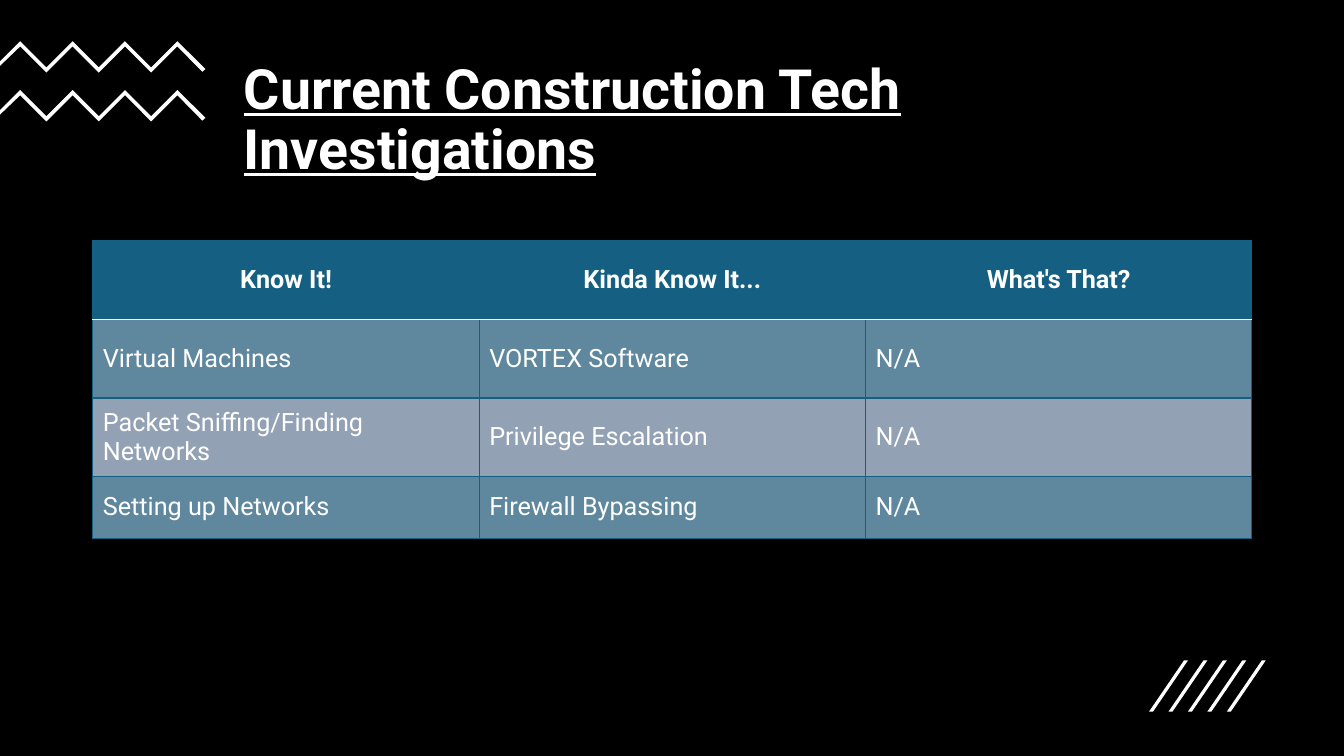
from pptx import Presentation
from pptx.dml.color import RGBColor
from pptx.enum.shapes import MSO_SHAPE as SHAPE
from pptx.enum.text import MSO_ANCHOR as ANCHOR, MSO_AUTO_SIZE as AUTO_SIZE, PP_ALIGN as ALIGN
from pptx.oxml.ns import qn
from pptx.util import Cm, Pt
from lxml.etree import SubElement

FONT = "Roboto"
BLACK = RGBColor(0x00, 0x00, 0x00)
WHITE = RGBColor(0xFF, 0xFF, 0xFF)
TEAL = RGBColor(0x15, 0x60, 0x82)
BAND_DARK = RGBColor(0x5F, 0x88, 0x9E)
BAND_LIGHT = RGBColor(0x92, 0xA1, 0xB4)

ROWS = [
    ("Know It!", "Kinda Know It...", "What's That?"),
    ("Virtual Machines", "VORTEX Software", "N/A"),
    ("Packet Sniffing/Finding Networks", "Privilege Escalation", "N/A"),
    ("Setting up Networks", "Firewall Bypassing", "N/A"),
]
ROW_HEIGHTS = [1.98, 1.98, 1.98, 1.55]
ROW_FILLS = [TEAL, BAND_DARK, BAND_LIGHT, BAND_DARK]


def paint(shape, color):
    shape.fill.solid()
    shape.fill.fore_color.rgb = color
    shape.line.fill.background()
    shape.shadow.inherit = False


def style_paragraph(p, size, bold):
    for r in p.runs:
        r.font.name = FONT
        r.font.size = Pt(size)
        r.font.bold = bold
        r.font.color.rgb = WHITE


def add_background(s, prs):
    """Cover the slide with black, behind every other shape."""
    rect = s.shapes.add_shape(SHAPE.RECTANGLE, 0, 0, prs.slide_width, prs.slide_height)
    paint(rect, BLACK)
    s.shapes._spTree.insert(2, rect._element)


def set_title(s, text):
    title = s.shapes.title
    title.left, title.top, title.width, title.height = Cm(5.89), Cm(1.57), Cm(25.98), Cm(2.97)
    tf = title.text_frame
    tf.text = text
    tf.word_wrap = True
    tf.auto_size = AUTO_SIZE.NONE
    tf.vertical_anchor = ANCHOR.MIDDLE
    p = tf.paragraphs[0]
    p.alignment = ALIGN.LEFT
    p.line_spacing = 0.9
    style_paragraph(p, 39.6, True)
    p.runs[0].font.underline = True


def add_polygon(group, points):
    """Add a closed white outline through points given in centimetres."""
    points = [(Cm(x), Cm(y)) for x, y in points]
    builder = group.shapes.build_freeform(*points[0])
    builder.add_line_segments(points[1:], close=True)
    paint(builder.convert_to_shape(), WHITE)


def add_zigzags(s):
    group = s.shapes.add_group_shape()
    for top in (1.04, 2.27):
        bends = [(0.51 + 0.66 * i, top + 0.66 * (i % 2)) for i in range(7)]
        lower = [(x, y + 0.13) for x, y in reversed(bends)]
        right_end = [(5.18, top + 0.7), (5.1, top + 0.77)]
        left_end = [(0, top + 0.62), (0, top + 0.51)]
        add_polygon(group, bends + right_end + lower + left_end)


def add_slashes(s):
    group = s.shapes.add_group_shape()
    top, bottom = 16.64, 17.93
    for i in range(5):
        x = 28.96 + 0.49 * i
        add_polygon(group, [(x + 0.1, bottom), (x, bottom), (x + 0.88, top), (x + 0.98, top)])


def set_border(cell, side, color, width):
    ln = SubElement(cell._tc.get_or_add_tcPr(), qn(f"a:ln{side}"), w=str(Pt(width)))
    fill = SubElement(ln, qn("a:solidFill"))
    SubElement(fill, qn("a:srgbClr"), val=str(color))


def format_cell(cell, text, row):
    is_header = row == 0
    cell.text = text
    cell.vertical_anchor = ANCHOR.MIDDLE
    p = cell.text_frame.paragraphs[0]
    p.alignment = ALIGN.CENTER if is_header else ALIGN.LEFT
    style_paragraph(p, 18, is_header)
    for side in "LRTB":
        under_header = (row, side) in ((0, "B"), (1, "T"))
        set_border(cell, side, *((WHITE, 1.5) if under_header else (TEAL, 1)))
    cell.fill.solid()
    cell.fill.fore_color.rgb = ROW_FILLS[row]


def add_knowledge_table(s):
    frame = s.shapes.add_table(len(ROWS), len(ROWS[0]), Cm(2.34), Cm(6.07),
                               Cm(29.21), Cm(sum(ROW_HEIGHTS)))
    table = frame.table
    for i, texts in enumerate(ROWS):
        table.rows[i].height = Cm(ROW_HEIGHTS[i])
        for j, text in enumerate(texts):
            format_cell(table.cell(i, j), text, i)


def main():
    prs = Presentation()
    prs.slide_width, prs.slide_height = Cm(33.87), Cm(19.05)
    s = prs.slides.add_slide(prs.slide_layouts[5])
    add_background(s, prs)
    set_title(s, "Current Construction Tech Investigations")
    add_zigzags(s)
    add_knowledge_table(s)
    add_slashes(s)
    prs.save("out.pptx")


if __name__ == "__main__":
    main()
